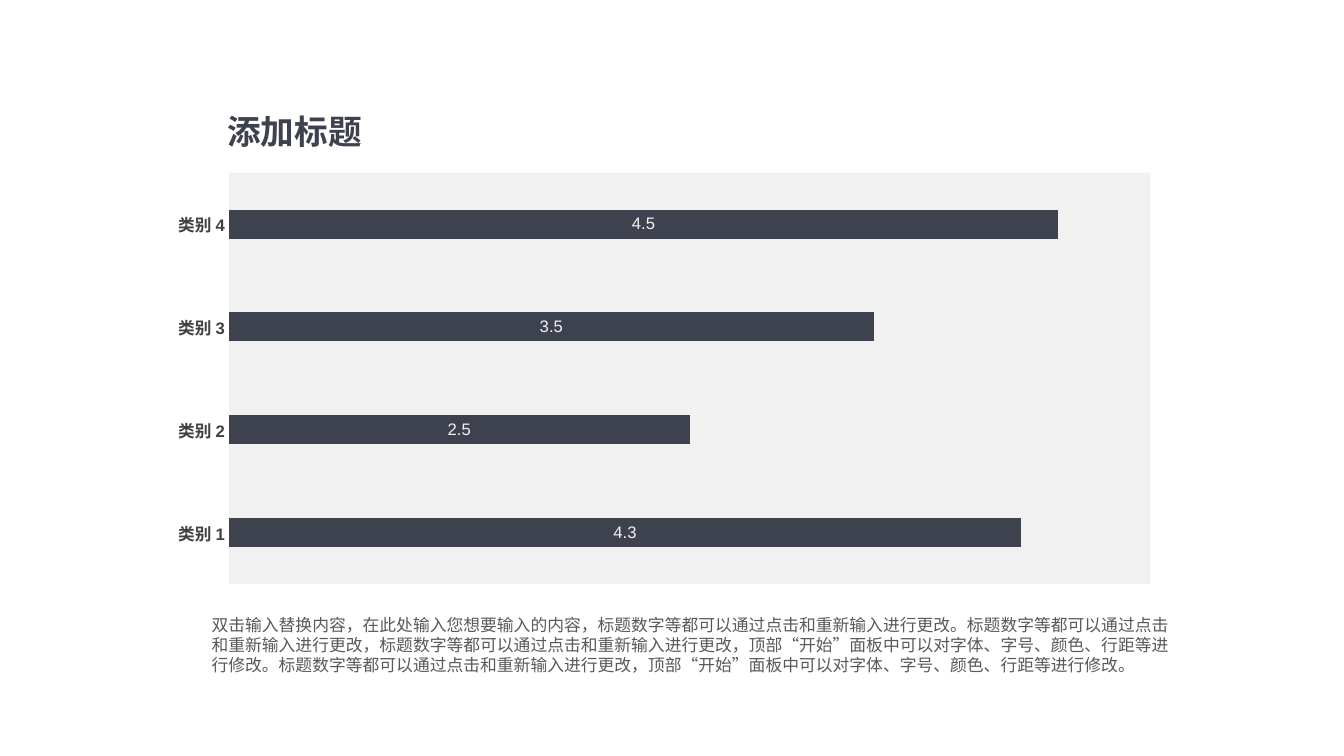
from dataclasses import dataclass

from lxml.etree import SubElement
from pptx import Presentation
from pptx.chart.data import CategoryChartData
from pptx.dml.color import RGBColor
from pptx.enum.chart import XL_CHART_TYPE, XL_LABEL_POSITION, XL_TICK_LABEL_POSITION, XL_TICK_MARK
from pptx.enum.text import MSO_ANCHOR, MSO_AUTO_SIZE, PP_ALIGN
from pptx.oxml import parse_xml
from pptx.oxml.ns import nsdecls, qn
from pptx.util import Pt

EMU_PER_PX = 9144


@dataclass(frozen=True)
class Theme:
    font: str = "Arial"
    dark: str = "3E414E"
    panel: str = "F1F1F1"
    on_dark: str = "F2F2F2"
    axis_text: str = "404040"
    body_text: str = "595959"
    title_size: float = 24
    body_size: float = 12
    label_size: float = 11.9
    chart_size: float = 10


THEME = Theme()

TITLE = "添加标题"
DESCRIPTION = (
    "双击输入替换内容，在此处输入您想要输入的内容，标题数字等都可以通过点击和重新输入进行更改。"
    "标题数字等都可以通过点击和重新输入进行更改，标题数字等都可以通过点击和重新输入进行更改，"
    "顶部“开始”面板中可以对字体、字号、颜色、行距等进行修改。"
    "标题数字等都可以通过点击和重新输入进行更改，"
    "顶部“开始”面板中可以对字体、字号、颜色、行距等进行修改。"
)
CATEGORY_VALUES = {"类别 1": 4.3, "类别 2": 2.5, "类别 3": 3.5, "类别 4": 4.5}


def px(length):
    return length * EMU_PER_PX


def style_font(font, size, color, bold=False):
    font.name = THEME.font
    font.size = Pt(size)
    font.bold = bold
    font.color.rgb = RGBColor.from_string(color)


def fill_solid(fill, color):
    fill.solid()
    fill.fore_color.rgb = RGBColor.from_string(color)


def fill_text(shape, text, size, color, bold=False, alignment=PP_ALIGN.LEFT):
    text_frame = shape.text_frame
    text_frame.text = text
    text_frame.word_wrap = True
    text_frame.auto_size = MSO_AUTO_SIZE.NONE
    text_frame.vertical_anchor = MSO_ANCHOR.TOP
    paragraph = text_frame.paragraphs[0]
    paragraph.alignment = alignment
    style_font(paragraph.runs[0].font, size, color, bold)


def place_title(slide, left, top, width, height):
    title = slide.shapes.title
    title.left, title.top = px(left), px(top)
    title.width, title.height = px(width), px(height)
    fill_text(title, TITLE, THEME.title_size, THEME.dark, True, PP_ALIGN.CENTER)


def place_description(slide, left, top, width, height):
    box = slide.shapes.add_textbox(px(left), px(top), px(width), px(height))
    fill_text(box, DESCRIPTION, THEME.body_size, THEME.body_text)


def format_plot_area(chart, x, y, w, h):
    plot_area = chart._chartSpace.chart.plotArea
    for layout in plot_area.findall(qn("c:layout")):
        plot_area.remove(layout)
    layout = parse_xml(f"<c:layout {nsdecls('c')}><c:manualLayout/></c:layout>")
    settings = {"layoutTarget": "inner", "xMode": "edge", "yMode": "edge", "x": x, "y": y, "w": w, "h": h}
    for name, value in settings.items():
        SubElement(layout[0], qn(f"c:{name}")).set("val", str(value))
    plot_area.insert(0, layout)
    plot_area.append(parse_xml(
        f"<c:spPr {nsdecls('c', 'a')}><a:solidFill>"
        f'<a:srgbClr val="{THEME.panel}"/></a:solidFill><a:ln><a:noFill/></a:ln></c:spPr>'
    ))


def format_axes(chart):
    category_axis = chart.category_axis
    category_axis.major_tick_mark = XL_TICK_MARK.NONE
    category_axis.minor_tick_mark = XL_TICK_MARK.NONE
    category_axis.tick_label_position = XL_TICK_LABEL_POSITION.NEXT_TO_AXIS
    category_axis.format.line.fill.background()
    style_font(category_axis.tick_labels.font, THEME.label_size, THEME.axis_text, True)
    value_axis = chart.value_axis
    value_axis.minimum_scale = 0
    value_axis.maximum_scale = 5
    value_axis.has_major_gridlines = False
    value_axis.visible = False


def format_bars(plot):
    plot.gap_width = 254
    plot.overlap = 100
    plot.vary_by_categories = False
    series = plot.series[0]
    fill_solid(series.format.fill, THEME.dark)
    labels = series.data_labels
    labels.show_value = True
    labels.position = XL_LABEL_POSITION.CENTER
    style_font(labels.font, THEME.label_size, THEME.on_dark)


def place_chart(slide, left, top, width, height):
    data = CategoryChartData()
    data.categories = CATEGORY_VALUES.keys()
    data.add_series("Series 1", CATEGORY_VALUES.values())
    chart = slide.shapes.add_chart(
        XL_CHART_TYPE.BAR_STACKED, px(left), px(top), px(width), px(height), data
    ).chart
    chart.has_legend = False
    chart.has_title = False
    style_font(chart.font, THEME.chart_size, THEME.on_dark)
    format_axes(chart)
    format_bars(chart.plots[0])
    format_plot_area(chart, 0.086, 0.035, 0.914, 0.93)


def build_chart_slide(presentation, left, top, width):
    slide = presentation.slides.add_slide(presentation.slide_layouts[5])
    place_chart(slide, left, top + 51, width, 439)
    place_title(slide, left + 59, top, 184, 50)
    place_description(slide, left + 59, top + 500, width - 21, 71)


def main():
    presentation = Presentation()
    presentation.slide_width = px(1333)
    presentation.slide_height = px(750)
    build_chart_slide(presentation, 141, 105, 1000)
    presentation.save("out.pptx")


if __name__ == "__main__":
    main()
